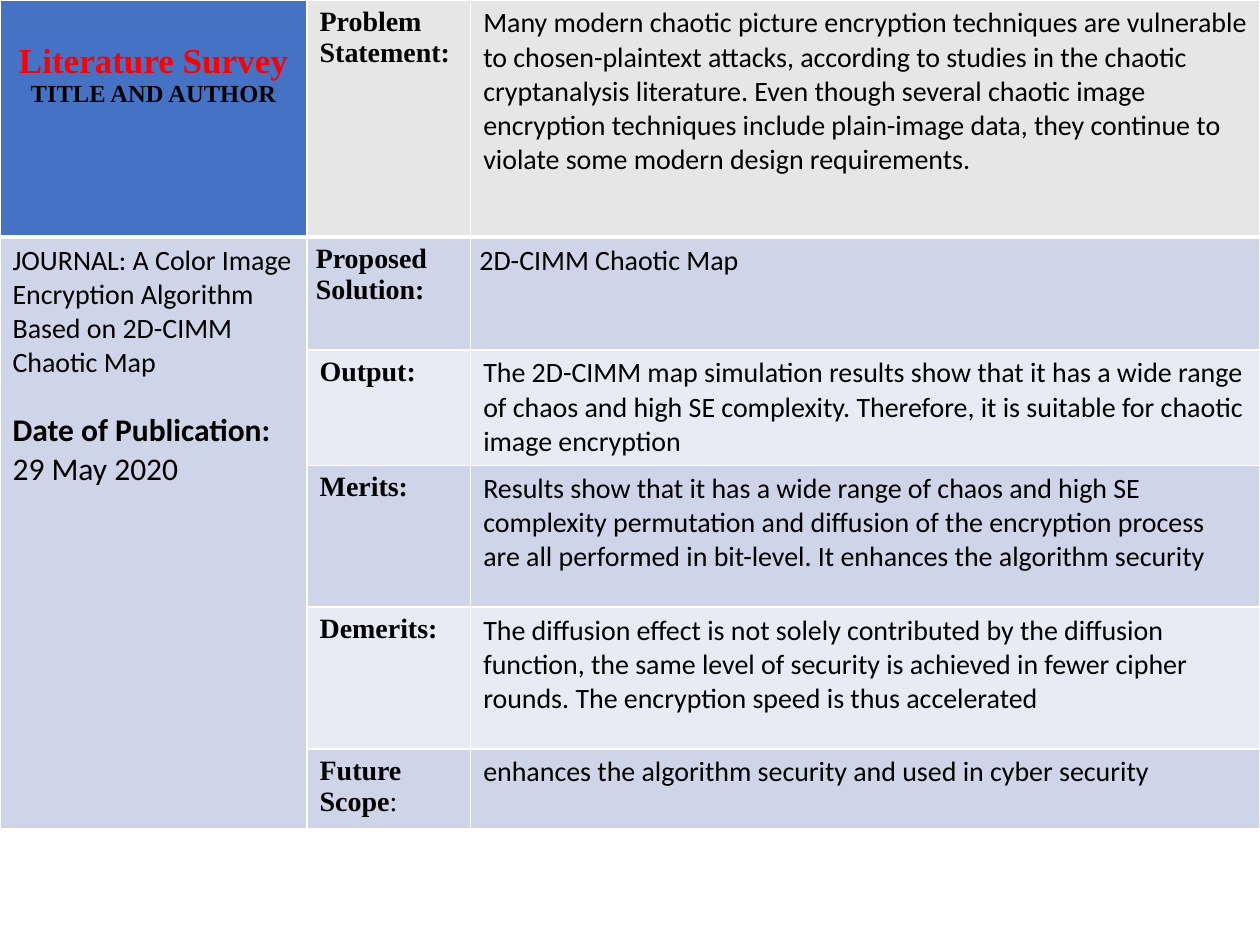
import pptx
import pptx.util
import pptx.dml.color
import pptx.enum.text
import pptx.oxml.ns
import lxml.etree

Pt = pptx.util.Pt
ALIGN = pptx.enum.text.PP_ALIGN
SERIF, SANS = "Times New Roman", "Calibri"
WIDTHS = [175.5, 93.5, 451]
HEIGHTS = [135.5, 64.5, 65.5, 81, 81, 45.5]
FILLS = ["E7E6E6", "CFD5E9", "E8EBF4", "CFD5E9", "E8EBF4", "CFD5E9"]
ROWS = [
    ("Problem Statement:",
     "Many modern chaotic picture encryption techniques are vulnerable to "
     "chosen-plaintext attacks, according to studies in the chaotic "
     "cryptanalysis literature. Even though several chaotic image encryption "
     "techniques include plain-image data, they continue to violate some "
     "modern design requirements."),
    ("Proposed Solution:", "2D-CIMM Chaotic Map"),
    ("Output:",
     "The 2D-CIMM map simulation results show that it has a wide range of "
     "chaos and high SE complexity. Therefore, it is suitable for chaotic "
     "image encryption"),
    ("Merits:",
     "Results show that it has a wide range of chaos and high SE complexity "
     "permutation and diffusion of the encryption process are all performed "
     "in bit-level. It enhances the algorithm security"),
    ("Demerits:",
     "The diffusion effect is not solely contributed by the diffusion "
     "function, the same level of security is achieved in fewer cipher "
     "rounds. The encryption speed is thus accelerated"),
    ("Future Scope",
     "enhances the algorithm security and used in cyber security"),
]


def color(code):
    return pptx.dml.color.RGBColor.from_string(code)


def border(cell, side, width):
    props = cell._tc.get_or_add_tcPr()
    qn = pptx.oxml.ns.qn
    line = lxml.etree.SubElement(props, qn("a:ln" + side), w=str(int(Pt(width))))
    fill = lxml.etree.SubElement(line, qn("a:solidFill"))
    lxml.etree.SubElement(fill, qn("a:srgbClr"), val="FFFFFF")


def paint(cell, fill, base=0.96):
    for side in "LRT":
        border(cell, side, 0.96)
    border(cell, "B", base)
    cell.fill.solid()
    cell.fill.fore_color.rgb = color(fill)


def write(para, text, face, size=16, bold=False, ink="000000"):
    para.text = text
    font = para.font
    font.name, font.size, font.bold = face, Pt(size), bold
    font.color.rgb = color(ink)
    return para


def head(cell):
    cell.margin_top = Pt(24)
    frame = cell.text_frame
    write(frame.paragraphs[0], "Literature Survey", SERIF, 20, True, "FF0000")
    write(frame.add_paragraph(), "TITLE AND AUTHOR", SERIF, 14, True)
    for para in frame.paragraphs:
        para.alignment = ALIGN.CENTER


def journal(cell):
    frame = cell.text_frame
    write(frame.paragraphs[0], "JOURNAL: A Color Image Encryption Algorithm "
          "Based on 2D-CIMM Chaotic Map", SANS)
    date = write(frame.add_paragraph(), "Date of Publication: ", SANS, 18, True)
    date.space_before = Pt(18)
    write(frame.add_paragraph(), "29 May 2020", SANS, 18)


def survey(slide):
    frame = slide.shapes.add_table(6, 3, 0, 0, Pt(720), Pt(sum(HEIGHTS)))
    table = frame.table
    table.first_row = table.horz_banding = False
    for col, width in zip(table.columns, WIDTHS):
        col.width = Pt(width)
    for row, height in zip(table.rows, HEIGHTS):
        row.height = Pt(height)
    table.cell(1, 0).merge(table.cell(5, 0))
    for i, (label, text) in enumerate(ROWS):
        cells = [table.cell(i, j) for j in range(3)]
        for j, cell in enumerate(cells):
            fill = FILLS[i] if j else "CFD5E9" if i else "4472C4"
            paint(cell, fill, 0.96 if i else 3)
        write(cells[1].text_frame.paragraphs[0], label, SERIF, bold=True)
        write(cells[2].text_frame.paragraphs[0], text, SANS)
    for cell in (table.cell(1, 1), table.cell(1, 2)):
        cell.margin_left = cell.margin_right = Pt(5)
    scope = table.cell(5, 1).text_frame.paragraphs[0].add_run()
    scope.text = ":"
    scope.font.bold = False
    table.cell(5, 2).text_frame.paragraphs[0].alignment = ALIGN.JUSTIFY
    head(table.cell(0, 0))
    journal(table.cell(1, 0))


def main():
    deck = pptx.Presentation()
    deck.slide_width, deck.slide_height = Pt(720), Pt(540)
    survey(deck.slides.add_slide(deck.slide_layouts[6]))
    deck.save("out.pptx")


if __name__ == "__main__":
    main()
